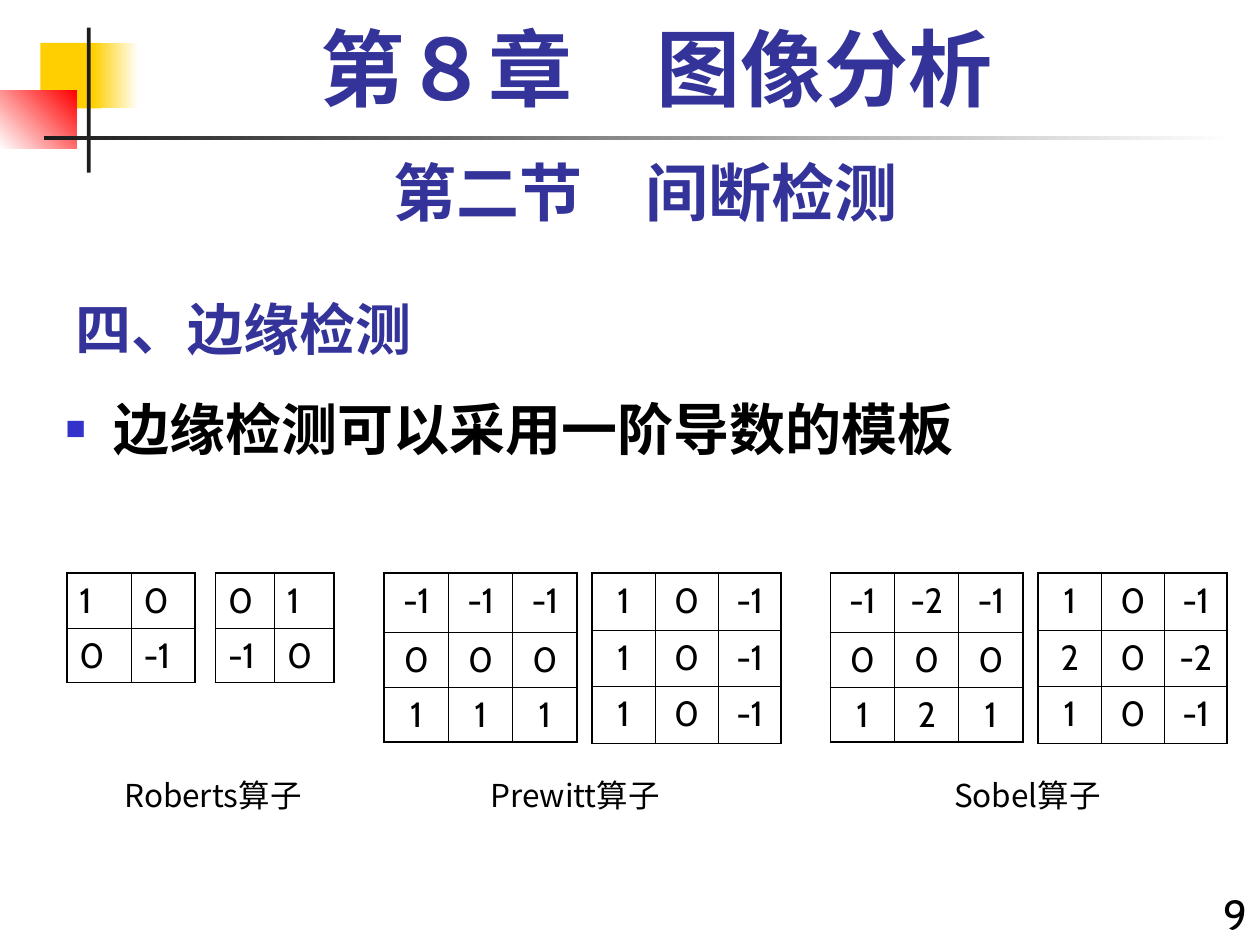
from lxml.etree import SubElement
from pptx import Presentation
from pptx.dml.color import RGBColor
from pptx.enum.shapes import MSO_SHAPE
from pptx.enum.text import MSO_ANCHOR, MSO_AUTO_SIZE, PP_ALIGN
from pptx.oxml.ns import qn
from pptx.util import Inches, Pt

CHINESE = "Noto Sans CJK SC"


def color(value):
    return RGBColor.from_string(value)


def write(frame, text, font, size, shade="000000", bold=False, align=PP_ALIGN.LEFT):
    para = frame.paragraphs[0]
    para.alignment = align
    para.space_before = Pt(0)
    span = para.add_run()
    span.text = text
    formats = {"name": font, "size": Pt(size), "bold": bold}
    for name, value in formats.items():
        setattr(span.font, name, value)
    span.font.color.rgb = color(shade)
    SubElement(span.font._element, qn("a:ea"), typeface=CHINESE)
    return para


deck = Presentation()
deck.slide_width = Inches(10)
deck.slide_height = Inches(7.5)
page = deck.slides.add_slide(deck.slide_layouts[1])

decorations = [
    (0.32, 0.34, 0.48, 0.52, ["FFCF01"], 0),
    (0.74, 0.34, 0.36, 0.52, ["FFCF01", "FFFFFF"], 0),
    (0, 0.72, 0.61, 0.46, ["FFFFFF", "FF0000"], 45),
    (0.69, 0.22, 0.03, 1.15, ["1C1C1C"], 0),
    (0.35, 1.08, 9.45, 0.03, ["1C1C1C", "FFFFFF"], 0),
]
for left, top, width, height, shades, angle in decorations:
    shape = page.shapes.add_shape(
        MSO_SHAPE.RECTANGLE, Inches(left), Inches(top), Inches(width), Inches(height)
    )
    shape.shadow.inherit = False
    shape.line.fill.background()
    if len(shades) == 1:
        shape.fill.solid()
        shape.fill.fore_color.rgb = color(shades[0])
    else:
        shape.fill.gradient()
        shape.fill.gradient_angle = angle
        for stop, shade in zip(shape.fill.gradient_stops, shades):
            stop.color.rgb = color(shade)

title = page.shapes.title
body = page.placeholders[1]
placeholders = [
    (title, 0.5, 2.17, 4.83, 0.75, MSO_ANCHOR.BOTTOM),
    (body, 0.42, 3.08, 9.58, 4.42, MSO_ANCHOR.TOP),
]
for holder, left, top, width, height, anchor in placeholders:
    holder.left, holder.top = Inches(left), Inches(top)
    holder.width, holder.height = Inches(width), Inches(height)
    holder.text_frame.vertical_anchor = anchor
    holder.text_frame.auto_size = MSO_AUTO_SIZE.NONE

write(title.text_frame, "四、边缘检测", CHINESE, 32, "333399", True)
point = write(body.text_frame, "边缘检测可以采用一阶导数的模板", CHINESE, 32, bold=True)
properties = point._p.get_or_add_pPr()
properties.set("marL", str(Inches(0.38)))
properties.set("indent", str(Inches(-0.38)))
SubElement(SubElement(properties, qn("a:buClr")), qn("a:srgbClr"), val="3333CC")
SubElement(properties, qn("a:buSzPct"), val="60000")
SubElement(properties, qn("a:buChar"), char="■")

labels = [
    ("第８章　图像分析", 0.67, 0.17, 9.08, 0.83, "Times New Roman", 48, "333399", True, PP_ALIGN.CENTER),
    ("第二节　间断检测", 0.5, 1.17, 9.25, 0.7, "Cabin", 36, "333399", True, PP_ALIGN.CENTER),
    ("9", 9.33, 7, 0.67, 0.59, "Cabin", 24, "000000", False, PP_ALIGN.RIGHT),
    ("Roberts算子", 0.84, 6.11, 1.7, 0.4, CHINESE, 18, "000000", False, PP_ALIGN.CENTER),
    ("Prewitt算子", 3.79, 6.11, 1.55, 0.4, CHINESE, 18, "000000", False, PP_ALIGN.CENTER),
    ("Sobel算子", 7.47, 6.11, 1.37, 0.4, CHINESE, 18, "000000", False, PP_ALIGN.CENTER),
]
for text, left, top, width, height, font, size, shade, bold, align in labels:
    box = page.shapes.add_textbox(Inches(left), Inches(top), Inches(width), Inches(height))
    box.text_frame.word_wrap = True
    para = write(box.text_frame, text, font, size, shade, bold, align)
    if size == 48:
        para.line_spacing = 0.9

masks = [
    (0.53, 0.51, [0.43, 0.43], ["1 0", "0 -1"]),
    (1.71, 0.47, [0.43, 0.43], ["0 1", "-1 0"]),
    (3.05, 0.51, [0.47, 0.43, 0.43], ["-1 -1 -1", "0 0 0", "1 1 1"]),
    (4.7, 0.5, [0.45, 0.45, 0.45], ["1 0 -1", "1 0 -1", "1 0 -1"]),
    (6.59, 0.51, [0.47, 0.43, 0.43], ["-1 -2 -1", "0 0 0", "1 2 1"]),
    (8.24, 0.5, [0.45, 0.45, 0.45], ["1 0 -1", "2 0 -2", "1 0 -1"]),
]
for left, column_width, heights, lines in masks:
    count = len(lines)
    align = PP_ALIGN.LEFT if count == 2 else PP_ALIGN.CENTER
    table = page.shapes.add_table(
        count, count, Inches(left), Inches(4.55),
        Inches(column_width * count), Inches(sum(heights)),
    ).table
    table.first_row = False
    table.horz_banding = False
    for column in table.columns:
        column.width = Inches(column_width)
    for row, line in enumerate(lines):
        table.rows[row].height = Inches(heights[row])
        for column, value in enumerate(line.split()):
            cell = table.cell(row, column)
            write(cell.text_frame, value, "Cabin", 20, align=align)
            outer = {
                "L": column == 0,
                "R": column == count - 1,
                "T": row == 0,
                "B": row == count - 1,
            }
            for side, is_outer in outer.items():
                weight = Pt(1.08 if is_outer else 0.45)
                border = SubElement(cell._tc.get_or_add_tcPr(), qn(f"a:ln{side}"), w=str(weight))
                SubElement(SubElement(border, qn("a:solidFill")), qn("a:srgbClr"), val="000000")
            cell.fill.background()

deck.save("out.pptx")
